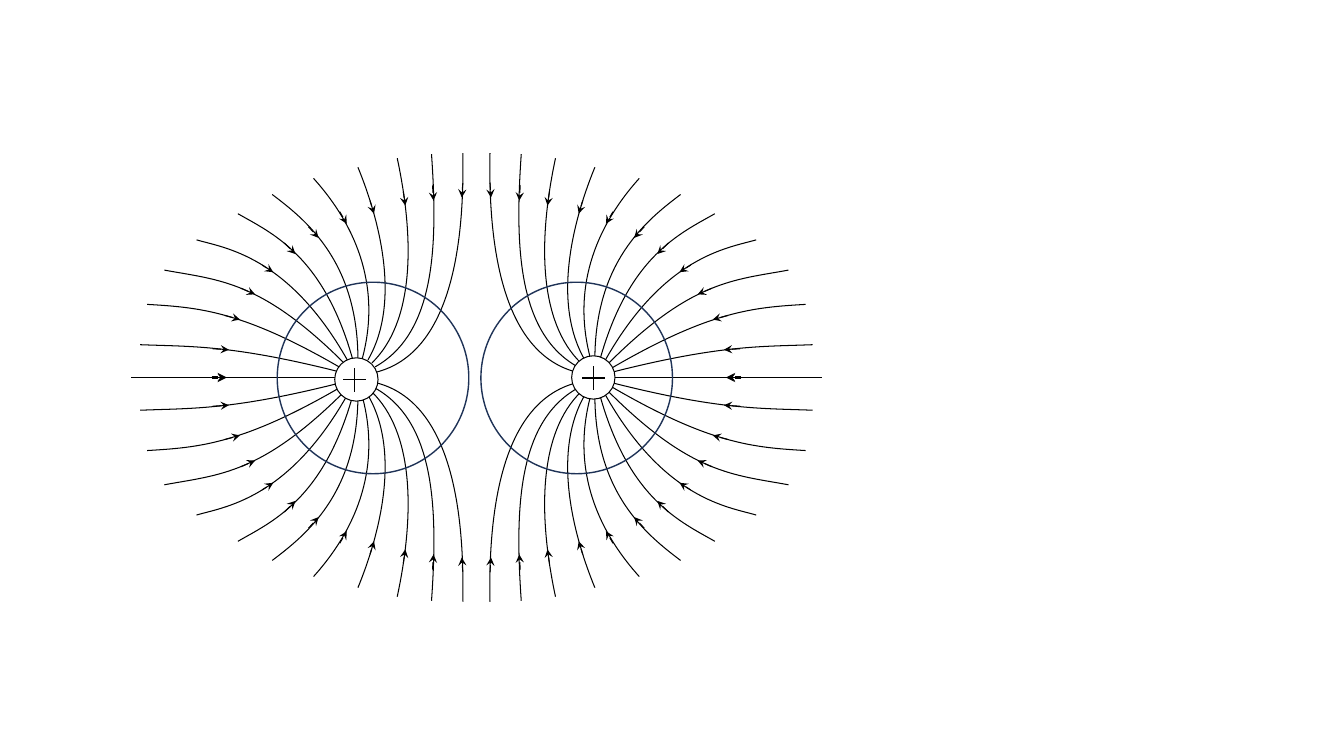
from itertools import product

from lxml.etree import SubElement
from pptx import Presentation
from pptx.dml.color import RGBColor
from pptx.enum.shapes import MSO_CONNECTOR, MSO_SHAPE
from pptx.oxml.ns import qn
from pptx.util import Inches, Pt

COLORS = {"ink": "000000", "paper": "FFFFFF", "ring": "1E3256"}
STYLES = {
    "axis": {"color": "ink", "width": 0.5},
    "field": {"color": "ink", "width": 0.75},
    "ring": {"color": "ring", "width": 1},
}
SUM_X, SUM_Y = 9.45, 7.49
AXIS_Y = 3.74

CURVES = [
    [(6.08, 3.69), (7.15, 3.42), (7.55, 3.44), (8.06, 3.42)],
    [(6.07, 3.65), (7.05, 3.08), (7.48, 3.05), (7.99, 3.02)],
    [(6.03, 3.61), (6.86, 2.78), (7.28, 2.78), (7.82, 2.68)],
    [(6.00, 3.58), (6.59, 2.53), (7.23, 2.46), (7.50, 2.38)],
    [(5.95, 3.57), (6.24, 2.53), (6.76, 2.31), (7.09, 2.12)],
    [(5.90, 3.57), (5.90, 2.59), (6.42, 2.18), (6.75, 1.93)],
    [(5.86, 3.57), (5.67, 2.88), (5.89, 2.27), (6.34, 1.77)],
    [(5.80, 3.57), (5.43, 2.93), (5.76, 2.00), (5.90, 1.66)],
    [(5.76, 3.60), (5.35, 3.20), (5.33, 2.41), (5.51, 1.57)],
    [(5.73, 3.64), (5.12, 3.30), (5.11, 2.40), (5.17, 1.53)],
    [(5.71, 3.69), (5.00, 3.50), (4.84, 2.49), (4.86, 1.52)],
]
ARROWS = [
    [(7.35, 3.74), (7.21, 3.74)],
    [(7.34, 3.46), (7.18, 3.47)],
    [(7.22, 3.13), (7.07, 3.17)],
    [(7.06, 2.86), (6.92, 2.92)],
    [(6.85, 2.63), (6.74, 2.70)],
    [(6.63, 2.41), (6.52, 2.52)],
    [(6.39, 2.25), (6.29, 2.36)],
    [(6.08, 2.10), (6.01, 2.22)],
    [(5.78, 1.99), (5.74, 2.12)],
    [(5.45, 1.90), (5.43, 2.04)],
    [(5.16, 1.84), (5.15, 1.99)],
    [(4.86, 1.82), (4.87, 1.96)],
]


def flip(points, left, down):
    """Mirror points to the left or downward."""
    return [(round(SUM_X - x, 2) if left else x, round(SUM_Y - y, 2) if down else y)
            for x, y in points]


def bezier(points, t):
    """Give the point of a cubic curve at t."""
    weights = ((1 - t) ** 3, 3 * t * (1 - t) ** 2, 3 * t * t * (1 - t), t ** 3)
    return tuple(sum(w * p[i] for w, p in zip(weights, points)) for i in (0, 1))


class Drawing:
    """Hold the style and the current slide."""

    def __init__(self, slide):
        """Start drawing on a slide."""
        self.slide = slide
        self.shapes = slide.shapes

    def group(self):
        """Send the next elements into a new group."""
        self.shapes = self.slide.shapes.add_group_shape().shapes

    def ungroup(self):
        """Send the next elements straight to the slide."""
        self.shapes = self.slide.shapes

    def outline(self, line, style):
        """Set the colour and width of a line."""
        form = STYLES[style]
        values = {
            line.color: {"rgb": RGBColor.from_string(COLORS[form["color"]])},
            line: {"width": Pt(form["width"])},
        }
        for target, items in values.items():
            for name, value in items.items():
                setattr(target, name, value)

    def line(self, start, end, style="field", arrow=False):
        """Draw a straight line, with an arrowhead if wanted."""
        ends = [Inches(v) for v in (*start, *end)]
        link = self.shapes.add_connector(MSO_CONNECTOR.STRAIGHT, *ends)
        self.outline(link.line, style)
        props = link.element.spPr
        if arrow:
            SubElement(props.find(qn("a:ln")), qn("a:tailEnd"), type="stealth")
        SubElement(props, qn("a:effectLst"))

    def circle(self, left, top, size, style="field", fill=None):
        """Draw a circle by its corner and size."""
        box = [Inches(v) for v in (left, top, size, size)]
        shape = self.shapes.add_shape(MSO_SHAPE.OVAL, *box)
        shape.shadow.inherit = False
        if fill:
            shape.fill.solid()
            shape.fill.fore_color.rgb = RGBColor.from_string(COLORS[fill])
        else:
            shape.fill.background()
        self.outline(shape.line, style)

    def curve(self, points):
        """Draw a cubic curve in a box that fits it."""
        dots = [[Inches(v) for v in bezier(points, i / 40)] for i in range(41)]
        pen = self.shapes.build_freeform(*dots[0])
        pen.add_line_segments(dots[1:], close=False)
        shape = pen.convert_to_shape()
        shape.shadow.inherit = False
        shape.fill.background()
        self.outline(shape.line, "field")
        trace = shape.element.find(".//" + qn("a:path"))
        for step in trace.findall(qn("a:lnTo")):
            trace.remove(step)
        bend = SubElement(trace, qn("a:cubicBezTo"))
        for x, y in points[1:]:
            SubElement(bend, qn("a:pt"), x=str(Inches(x) - shape.left),
                       y=str(Inches(y) - shape.top))

    def plus(self, x, y, arm=0.115):
        """Draw a plus sign about a centre."""
        self.line((x, y - arm), (x, y + arm))
        self.line((x - arm, y), (x + arm, y))


def main():
    """Build the field of two charges."""
    deck = Presentation()
    deck.slide_width, deck.slide_height = Inches(13.33), Inches(7.5)
    draw = Drawing(deck.slides.add_slide(deck.slide_layouts[6]))

    draw.group()
    for left, core in ((False, 5.72), (True, 3.37)):
        draw.line(*flip([(5.9, AXIS_Y), (8.15, AXIS_Y)], left, False), style="axis")
        draw.circle(core, 3.57, 0.36, fill="paper")
    for left, down in product((False, True), repeat=2):
        for points in CURVES:
            draw.curve(flip(points, left, down))
        for ends in ARROWS:
            draw.line(*flip(ends, left, down), arrow=True)
    for x, y, mid in ((3.32, 3.55, (3.52, 3.77)), (5.67, 3.53, (5.89, 3.75))):
        draw.circle(x, y, 0.43, fill="paper")
        draw.plus(*mid)

    draw.ungroup()
    for x in (2.75, 4.77):
        draw.circle(x, 2.8, 1.9, style="ring")
    deck.save("out.pptx")


if __name__ == "__main__":
    main()
